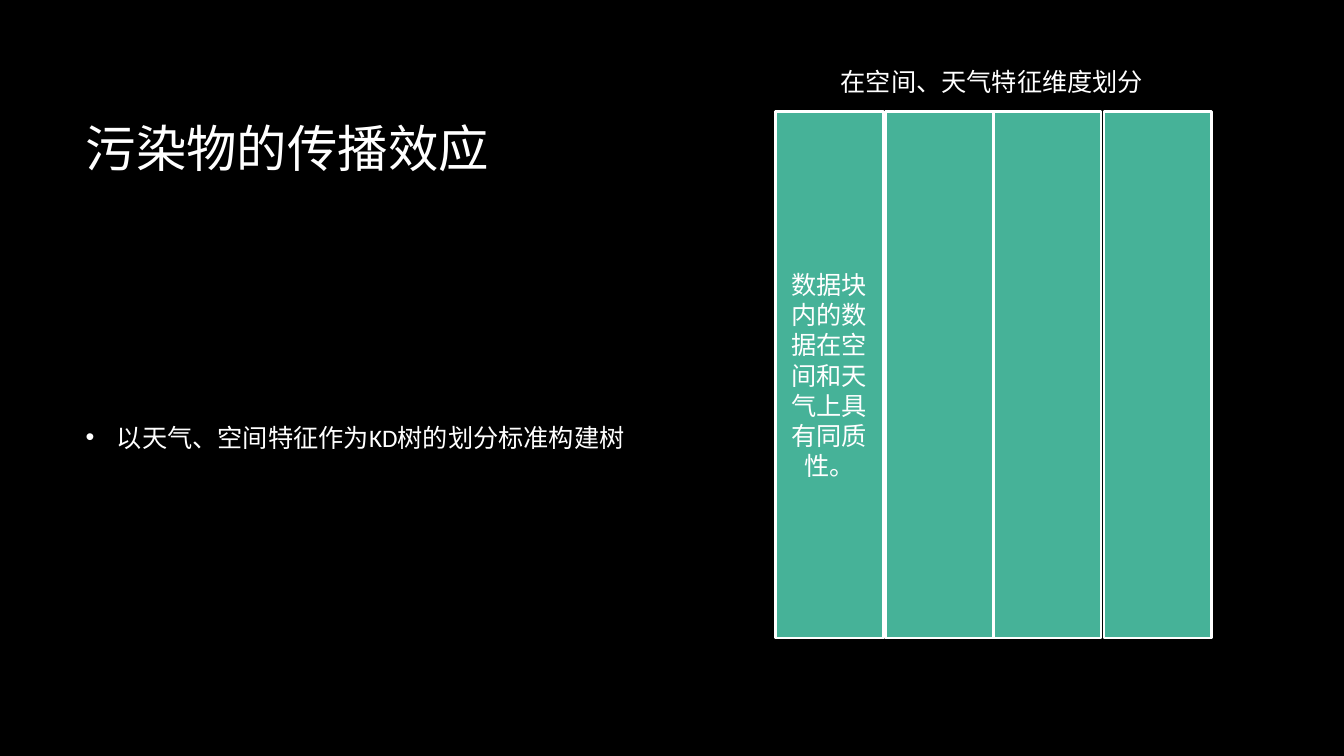
from lxml import etree
from pptx import Presentation
from pptx.dml.color import RGBColor
from pptx.enum import shapes, text
from pptx.oxml import ns
from pptx.util import Inches, Pt

BLACK = RGBColor(0x00, 0x00, 0x00)
WHITE = RGBColor(0xFF, 0xFF, 0xFF)
GREEN = RGBColor(0x46, 0xB2, 0x98)
FONT = "Calibri"
BLOCK_LEFTS = (7.69, 8.78, 9.85, 10.95)
BLOCK_TOP, BLOCK_WIDTH, BLOCK_HEIGHT = 1.11, 1.07, 5.22


def add_bullet(paragraph, indent):
    """Give the paragraph a white round bullet with a hanging indent."""
    props = paragraph._p.get_or_add_pPr()
    props.set("marL", str(Inches(indent)))
    props.set("indent", str(-Inches(indent)))
    colour = etree.SubElement(props, ns.qn("a:buClr"))
    etree.SubElement(colour, ns.qn("a:srgbClr"), val=str(WHITE))
    etree.SubElement(props, ns.qn("a:buFont"), typeface="Arial")
    etree.SubElement(props, ns.qn("a:buChar"), char="•")


def write(shape, words, size=18, align=text.PP_ALIGN.LEFT,
          anchor=text.MSO_ANCHOR.MIDDLE, wrap=True,
          fit=text.MSO_AUTO_SIZE.NONE, bullet_indent=None, after=0):
    frame = shape.text_frame
    frame.word_wrap = wrap
    frame.auto_size = fit
    frame.vertical_anchor = anchor
    paragraph = frame.paragraphs[0]
    paragraph.alignment = align
    paragraph.space_before = Pt(0)
    paragraph.space_after = Pt(after)
    if bullet_indent:
        add_bullet(paragraph, bullet_indent)
    run = paragraph.add_run()
    run.text = words
    run.font.name = FONT
    run.font.size = Pt(size)
    run.font.color.rgb = WHITE


def place(shape, left, top, width, height):
    shape.left, shape.top = Inches(left), Inches(top)
    shape.width, shape.height = Inches(width), Inches(height)


def add_block(slide, left):
    block = slide.shapes.add_shape(
        shapes.MSO_SHAPE.FLOWCHART_PROCESS, Inches(left), Inches(BLOCK_TOP),
        Inches(BLOCK_WIDTH), Inches(BLOCK_HEIGHT))
    block.shadow.inherit = False
    block.fill.solid()
    block.fill.fore_color.rgb = GREEN
    block.line.color.rgb = WHITE
    block.line.width = Pt(2)
    return block


def main():
    deck = Presentation()
    deck.slide_width, deck.slide_height = Inches(13.33), Inches(7.5)
    slide = deck.slides.add_slide(deck.slide_layouts[1])
    slide.background.fill.solid()
    slide.background.fill.fore_color.rgb = BLACK

    # Title and list
    title, points = slide.placeholders
    place(title, 0.75, 0.67, 11.08, 1.59)
    write(title, "污染物的传播效应", size=36)
    place(points, 0.75, 2.34, 11.08, 3.99)
    write(points, "以天气、空间特征作为KD树的划分标准构建树",
          bullet_indent=0.31, after=10)

    # Data blocks, the first one explained
    blocks = [add_block(slide, left) for left in BLOCK_LEFTS]
    write(blocks[0], "数据块内的数据在空间和天气上具有同质性。",
          align=text.PP_ALIGN.CENTER)

    # Caption above the blocks
    caption = slide.shapes.add_textbox(
        Inches(8.24), Inches(0.61), Inches(3.23), Inches(0.4))
    write(caption, "在空间、天气特征维度划分", anchor=text.MSO_ANCHOR.TOP,
          wrap=False, fit=text.MSO_AUTO_SIZE.SHAPE_TO_FIT_TEXT)

    deck.save("out.pptx")


if __name__ == "__main__":
    main()
